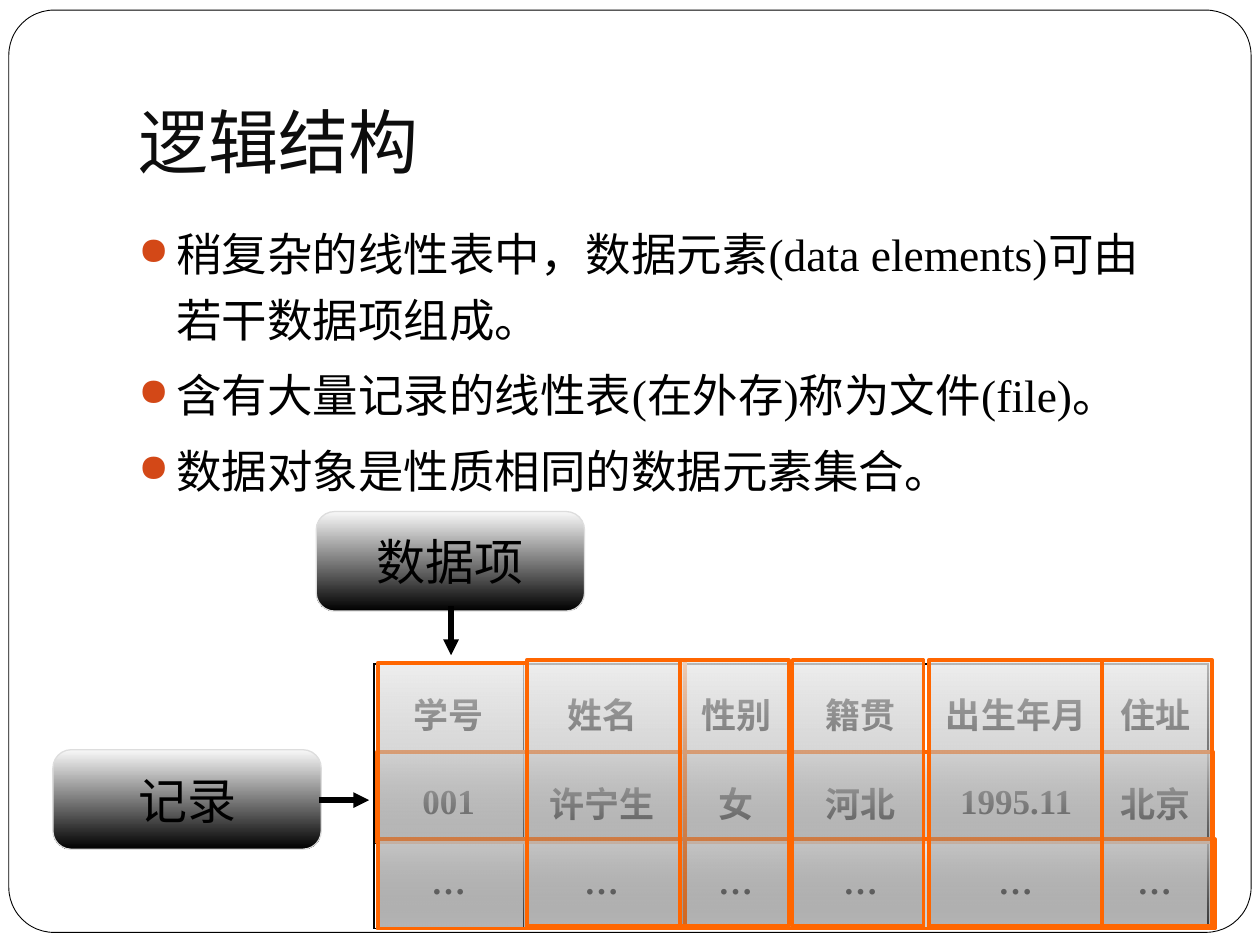
from dataclasses import dataclass

from lxml import etree
from pptx import Presentation
from pptx import util as u
from pptx.dml.color import RGBColor
from pptx.enum import shapes, text
from pptx.oxml import ns


@dataclass(frozen=True)
class Theme:
    black: str = "000000"
    white: str = "FFFFFF"
    title_color: str = "0D0D0D"
    bullet: str = "D34817"
    highlight: str = "FF6600"
    box_line: str = "DDDDDD"
    box_gradient: tuple = (("F8F8F8", 100), ("000000", 100))
    veil_gradient: tuple = (("EAEAEA", 79), ("6C6C6C", 29))
    title_font: str = "Roboto"
    body_font: str = "Times New Roman"
    label_font: str = "Lato"
    symbol_font: str = "Noto Sans CJK SC"
    title_size: int = 40
    body_size: int = 26
    label_size: int = 28
    cell_size: int = 20


BULLETS = [
    "稍复杂的线性表中，数据元素(data elements)可由若干数据项组成。",
    "含有大量记录的线性表(在外存)称为文件(file)。",
    "数据对象是性质相同的数据元素集合。",
]
RECORDS = [
    ["学号", "姓名", "性别", "籍贯", "出生年月", "住址"],
    ["001", "许宁生", "女", "河北", "1995.11", "北京"],
    ["…"] * 6,
]
COLUMN_WIDTHS = [1.18, 1.26, 0.87, 1.1, 1.37, 0.84]
ROW_HEIGHTS = [0.71, 0.71, 0.68]
RECORD_VEILS = [(2.99, 5.97), (3, 6.66)]
FIELD_VEILS = [(3, 5.26, 1.18), (4.18, 5.24, 1.26), (5.4, 5.24, 0.86),
               (6.29, 5.24, 1.04), (7.37, 5.24, 1.38), (8.75, 5.24, 0.87)]


def add_child(parent, tag, **attributes):
    return etree.SubElement(parent, ns.qn(tag), attributes)


def write(paragraph, content, font, size, color, bold=False,
          align=text.PP_ALIGN.LEFT):
    paragraph.text = content
    paragraph.alignment = align
    paragraph.font.name = font
    paragraph.font.size = u.Pt(size)
    paragraph.font.bold = bold
    paragraph.font.color.rgb = RGBColor.from_string(color)


def set_margins(target, left, top, right, bottom):
    target.margin_left, target.margin_top = u.Inches(left), u.Inches(top)
    target.margin_right, target.margin_bottom = u.Inches(right), u.Inches(bottom)


class SlideBuilder:
    def __init__(self, slide, theme):
        self.slide = slide
        self.theme = theme

    def title(self, content, left, top, width, height):
        shape = self.slide.shapes.title
        self.slide.shapes._spTree.append(shape._element)
        shape.left, shape.top = u.Inches(left), u.Inches(top)
        shape.width, shape.height = u.Inches(width), u.Inches(height)
        frame = shape.text_frame
        frame.auto_size = text.MSO_AUTO_SIZE.NONE
        frame.vertical_anchor = text.MSO_ANCHOR.BOTTOM
        set_margins(frame, 0.1, 0.05, 0.1, 0.1)
        write(frame.paragraphs[0], content, self.theme.title_font,
              self.theme.title_size, self.theme.title_color)

    def bullets(self, items, left, top, width, height):
        shape = self.slide.shapes.add_textbox(*map(u.Inches, (left, top, width, height)))
        frame = shape.text_frame
        frame.word_wrap = True
        for index, item in enumerate(items):
            paragraph = frame.add_paragraph() if index else frame.paragraphs[0]
            paragraph.line_spacing = 1.2
            paragraph.space_before = u.Pt(5.8 if index else 0)
            properties = paragraph._p.get_or_add_pPr()
            properties.set("marL", str(u.Inches(0.3)))
            properties.set("indent", str(u.Inches(-0.3)))
            color = add_child(properties, "a:buClr")
            add_child(color, "a:srgbClr", val=self.theme.bullet)
            add_child(properties, "a:buSzPct", val="85000")
            add_child(properties, "a:buChar", char="●")
            write(paragraph, item, self.theme.body_font,
                  self.theme.body_size, self.theme.black)

    def shape(self, kind, left, top, width, height, line, line_width,
              fill=None, gradient=None, radius=None):
        shape = self.slide.shapes.add_shape(
            kind, *map(u.Inches, (left, top, width, height)))
        shape.shadow.inherit = False
        shape.line.color.rgb = RGBColor.from_string(line)
        shape.line.width = u.Pt(line_width)
        if radius is not None:
            shape.adjustments[0] = radius
        if gradient:
            shape.fill.gradient()
            shape.fill.gradient_angle = 270
            for stop, position, (color, opacity) in zip(
                    shape.fill.gradient_stops, (0, 1), gradient):
                stop.position = position
                stop.color.rgb = RGBColor.from_string(color)
                if opacity < 100:
                    add_child(stop._gs[0], "a:alpha", val=str(opacity * 1000))
        else:
            shape.fill.solid()
            shape.fill.fore_color.rgb = RGBColor.from_string(fill)
        return shape

    def frame(self, left, top, width, height):
        self.shape(shapes.MSO_SHAPE.ROUNDED_RECTANGLE, left, top, width, height,
                   self.theme.black, 0.5, fill=self.theme.white, radius=0.049)

    def label(self, content, left, top):
        shape = self.shape(shapes.MSO_SHAPE.ROUNDED_RECTANGLE, left, top, 2.13, 0.79,
                           self.theme.box_line, 0.75,
                           gradient=self.theme.box_gradient, radius=0.185)
        frame = shape.text_frame
        frame.word_wrap = False
        frame.vertical_anchor = text.MSO_ANCHOR.MIDDLE
        set_margins(frame, 0.05, 0.02, 0.05, 0.02)
        write(frame.paragraphs[0], content, self.theme.label_font,
              self.theme.label_size, self.theme.black, align=text.PP_ALIGN.CENTER)

    def veil(self, left, top, width, height):
        self.shape(shapes.MSO_SHAPE.RECTANGLE, left, top, width, height,
                   self.theme.highlight, 2.25, gradient=self.theme.veil_gradient)

    def arrow(self, *ends):
        connector = self.slide.shapes.add_connector(
            shapes.MSO_CONNECTOR.STRAIGHT, *map(u.Inches, ends))
        connector.line.color.rgb = RGBColor.from_string(self.theme.black)
        connector.line.width = u.Pt(3)
        add_child(connector.line._get_or_add_ln(), "a:tailEnd", type="triangle")
        add_child(connector._element.spPr, "a:effectLst")

    def borders(self, cell, outer_edges):
        properties = cell._tc.get_or_add_tcPr()
        for index, outer in enumerate(outer_edges):
            line = add_child(properties, "a:ln" + "LRTB"[index],
                             w=str(u.Pt(1.08 if outer else 0.45)))
            add_child(add_child(line, "a:solidFill"), "a:srgbClr", val=self.theme.black)
            properties.insert(index, line)

    def table(self, rows, widths, heights, left, top):
        area = (left, top, sum(widths), sum(heights))
        table = self.slide.shapes.add_table(
            len(rows), len(widths), *map(u.Inches, area)).table
        table.first_row = table.horz_banding = False
        for column, width in zip(table.columns, widths):
            column.width = u.Inches(width)
        for row, height in zip(table.rows, heights):
            row.height = u.Inches(height)
        last_row, last_column = len(rows) - 1, len(widths) - 1
        for r, values in enumerate(rows):
            for c, value in enumerate(values):
                cell = table.cell(r, c)
                cell.fill.background()
                cell.vertical_anchor = text.MSO_ANCHOR.MIDDLE
                set_margins(cell, 0.1, 0.12, 0.1, 0.05)
                font = self.theme.symbol_font if value == "…" else self.theme.body_font
                write(cell.text_frame.paragraphs[0], value, font, self.theme.cell_size,
                      self.theme.black, bold=True, align=text.PP_ALIGN.CENTER)
                self.borders(cell, (c == 0, c == last_column, r == 0, r == last_row))


def main():
    presentation = Presentation()
    presentation.slide_width, presentation.slide_height = u.Inches(10), u.Inches(7.5)
    slide = presentation.slides.add_slide(presentation.slide_layouts[5])
    builder = SlideBuilder(slide, Theme())
    builder.frame(0.07, 0.08, 9.86, 7.32)
    builder.title("逻辑结构", 1, 0.3, 8.5, 1.25)
    builder.bullets(BULLETS, 1, 1.66, 8.5, 4.92)
    builder.table(RECORDS, COLUMN_WIDTHS, ROW_HEIGHTS, 2.97, 5.27)
    builder.label("数据项", 2.51, 4.06)
    builder.arrow(3.58, 4.81, 3.58, 5.2)
    builder.label("记录", 0.42, 5.95)
    builder.arrow(2.53, 6.35, 2.93, 6.35)
    for left, top in RECORD_VEILS:
        builder.veil(left, top, 6.64, 0.71)
    for left, top, width in FIELD_VEILS:
        builder.veil(left, top, width, 2.11)
    presentation.save("out.pptx")


if __name__ == "__main__":
    main()
